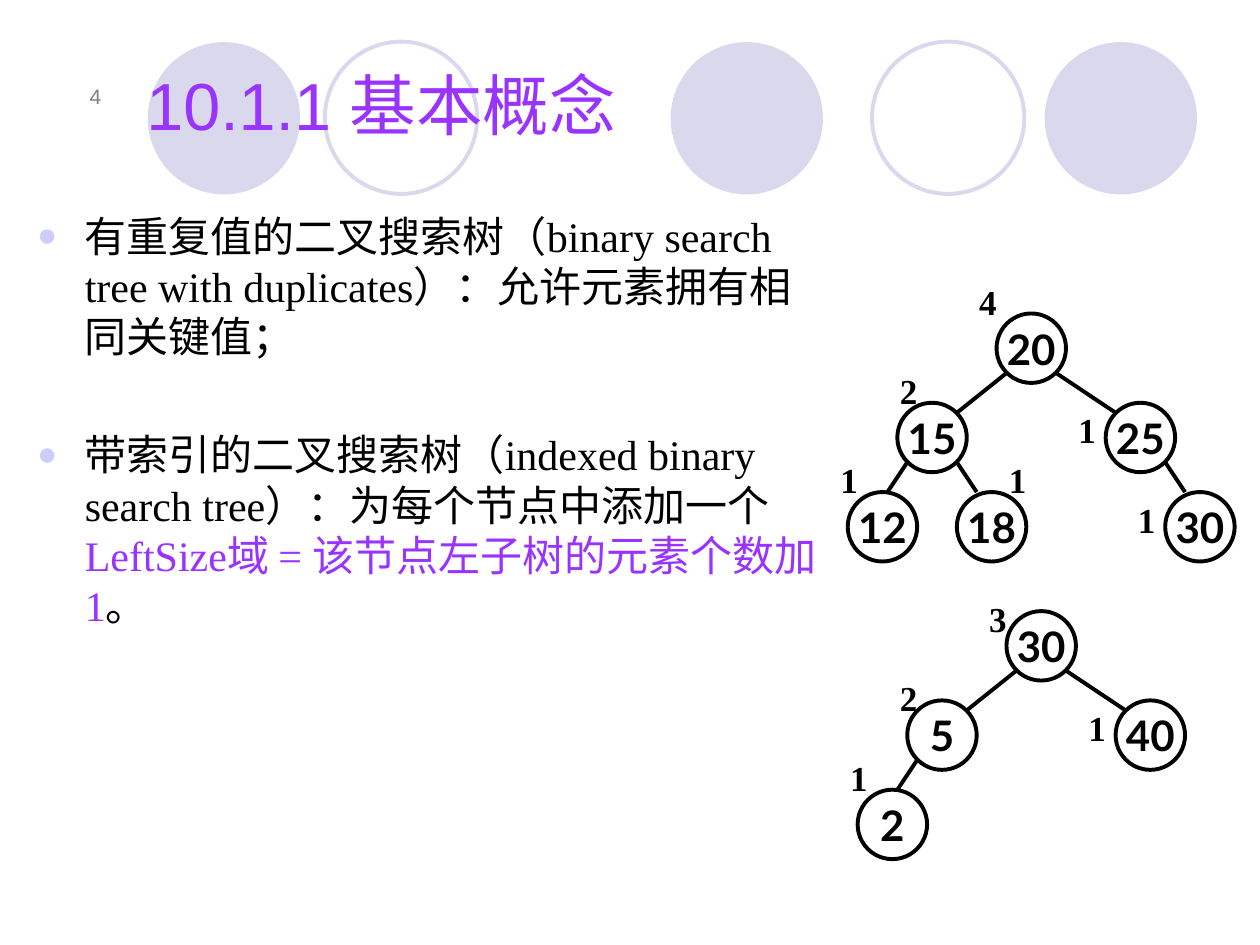
import pptx
import pptx.dml.color
import pptx.enum.shapes
import pptx.enum.text
import pptx.oxml.ns
import pptx.util
from lxml import etree
from pptx.util import Cm

COLORS = {"ink": "000000", "accent": "9933FF", "bullet": "CCCCFF",
          "ring": "D9D8EC", "number": "808080"}
ALIGN = pptx.enum.text.PP_ALIGN
ANCHOR = pptx.enum.text.MSO_ANCHOR
NODE_SIZE = 1.4
LEVEL_STEP = 1.8


def rgb(name):
    return pptx.dml.color.RGBColor.from_string(COLORS[name])


class TreeSlide:
    def __init__(self, slide):
        self.slide = slide
        self.line_width = pptx.util.Pt(2.25)

    def add_run(self, paragraph, text, font, size, color="ink", bold=False):
        run = paragraph.add_run()
        run.text = text
        run.font.name = font
        run.font.size = pptx.util.Pt(size)
        run.font.bold = bold
        run.font.color.rgb = rgb(color)

    def circle(self, left, top, size, fill=None, line=None):
        oval = self.slide.shapes.add_shape(
            pptx.enum.shapes.MSO_SHAPE.OVAL, Cm(left), Cm(top), Cm(size), Cm(size))
        oval.shadow.inherit = False
        if fill:
            oval.fill.solid()
            oval.fill.fore_color.rgb = rgb(fill)
        else:
            oval.fill.background()
        if line:
            oval.line.color.rgb = rgb(line)
            oval.line.width = self.line_width
        else:
            oval.line.fill.background()
        return oval

    def frame(self, left, top, width, height, anchor=ANCHOR.TOP):
        box = self.slide.shapes.add_textbox(Cm(left), Cm(top), Cm(width), Cm(height))
        box.text_frame.word_wrap = True
        box.text_frame.vertical_anchor = anchor
        return box.text_frame

    def text(self, place, text, font, size, color="ink", bold=False,
             align=ALIGN.LEFT, anchor=ANCHOR.TOP):
        paragraph = self.frame(*place, anchor).paragraphs[0]
        paragraph.alignment = align
        self.add_run(paragraph, text, font, size, color, bold)

    def bullets(self, place, items, gap):
        frame = self.frame(*place)
        for index, runs in enumerate(items):
            paragraph = frame.add_paragraph() if index else frame.paragraphs[0]
            if index:
                paragraph.space_before = pptx.util.Pt(gap)
            props = paragraph._p.get_or_add_pPr()
            props.set("marL", str(Cm(0.96)))
            props.set("indent", str(Cm(-0.96)))
            qn = pptx.oxml.ns.qn
            tint = etree.SubElement(props, qn("a:buClr"))
            etree.SubElement(tint, qn("a:srgbClr"), val=COLORS["bullet"])
            etree.SubElement(props, qn("a:buSzPct"), val="80000")
            etree.SubElement(props, qn("a:buFont"), typeface="Arial")
            etree.SubElement(props, qn("a:buChar"), char="●")
            for text, color in runs:
                self.add_run(paragraph, text, "Times New Roman", 24, color)

    def node(self, left, top, key):
        frame = self.circle(left, top, NODE_SIZE, line="ink").text_frame
        frame.word_wrap = False
        frame.vertical_anchor = ANCHOR.MIDDLE
        paragraph = frame.paragraphs[0]
        paragraph.alignment = ALIGN.CENTER
        self.add_run(paragraph, key, "Lato", 24, bold=True)

    def edge(self, start, end):
        link = self.slide.shapes.add_connector(
            pptx.enum.shapes.MSO_CONNECTOR.STRAIGHT, *map(Cm, start + end))
        link.line.color.rgb = rgb("ink")
        link.line.width = self.line_width
        etree.SubElement(link._element.spPr, pptx.oxml.ns.qn("a:effectLst"))

    def tree(self, root_left, root_top, nodes):
        corners = []
        for key, parent, level, shift, left_size, label_dx, label_dy in nodes:
            left, top = root_left + shift, root_top + level * LEVEL_STEP
            corners.append((left, top))
            self.node(left, top, key)
            self.text((left + label_dx, top + label_dy, 0.8, 1.09), left_size,
                      "Times New Roman", 20, bold=True)
            if parent is not None:
                parent_left, parent_top = corners[parent]
                inset, drop = (0.2, 0.2) if level == 1 else (0.4, 0)
                goes_left = left < parent_left
                start_dx = 0.2 if goes_left else NODE_SIZE - 0.2
                end_dx = NODE_SIZE - 0.2 - (inset - 0.2) if goes_left else inset
                if goes_left and level > 1:
                    end_dx = 0.8
                self.edge((parent_left + start_dx, parent_top + 1.2),
                          (left + end_dx, top + drop))


def main():
    deck = pptx.Presentation()
    deck.slide_width, deck.slide_height = Cm(25.4), Cm(19.05)
    page = TreeSlide(deck.slides.add_slide(deck.slide_layouts[6]))

    for left in (2.98, 13.52, 21.06):
        page.circle(left, 0.85, 3.07, fill="ring")
    for left in (6.55, 17.58):
        page.circle(left, 0.84, 3.07, line="ring")

    page.text((0.89, 1.12, 1.4, 1.19), "4", "Arial", 12, "number",
              align=ALIGN.RIGHT, anchor=ANCHOR.BOTTOM)
    page.text((2.7, 1.12, 21.82, 1.9), "10.1.1 基本概念", "Arial", 38, "accent",
              anchor=ANCHOR.BOTTOM)
    page.bullets((0.5, 4.11, 16.4, 14), [
        [("有重复值的二叉搜索树（binary search tree with duplicates）："
          "允许元素拥有相同关键值；", "ink")],
        [("带索引的二叉搜索树（indexed binary search tree）：为每个节点中添加一个", "ink"),
         ("LeftSize域 = 该节点左子树的元素个数加1", "accent"),
         ("。", "ink")],
    ], gap=38.5)

    page.tree(20.09, 6.32, [
        ("20", None, 0, 0, "4", -0.6, -0.8),
        ("15", 0, 1, -2, "2", -0.2, -0.8),
        ("25", 0, 1, 2.2, "1", -0.8, 0),
        ("12", 1, 2, -3, "1", -0.4, -0.8),
        ("18", 1, 2, -0.8, "1", 0.8, -0.8),
        ("30", 2, 2, 3.4, "1", -0.8, 0),
    ])
    page.tree(20.29, 12.32, [
        ("30", None, 0, 0, "3", -0.6, -0.4),
        ("5", 0, 1, -2, "2", -0.4, -0.6),
        ("40", 0, 1, 2.2, "1", -0.8, 0),
        ("2", 1, 2, -3, "1", -0.4, -0.8),
    ])
    deck.save("out.pptx")


if __name__ == "__main__":
    main()
